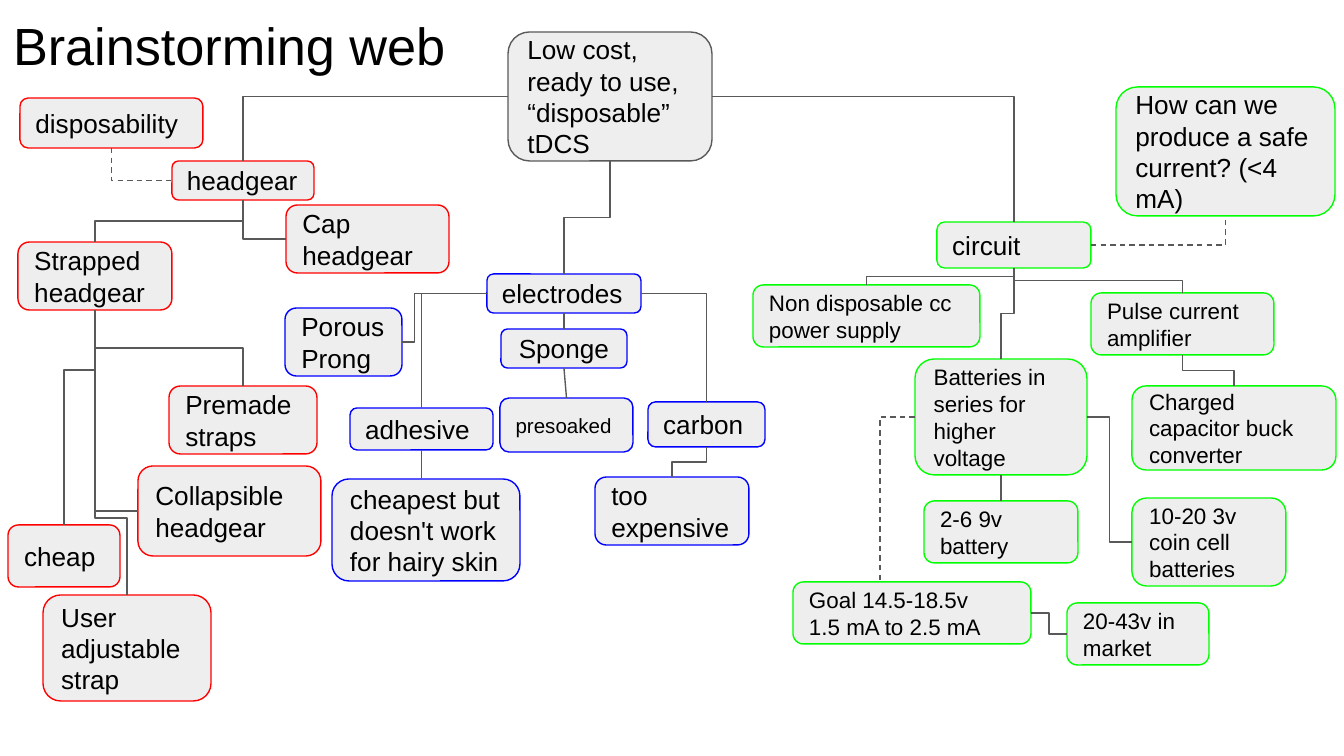
import pptx
import pptx.util
import pptx.dml.color
import pptx.enum.dml
import pptx.enum.shapes
import pptx.enum.text
import pptx.oxml
import pptx.oxml.ns

RGBColor = pptx.dml.color.RGBColor
CONNECTOR = pptx.enum.shapes.MSO_CONNECTOR
ALIGN = pptx.enum.text.PP_ALIGN

PX = 914400 / 134.4
FONT = "Arial"
INSET = 13
BLACK = RGBColor(0x00, 0x00, 0x00)
GREY = RGBColor(0x59, 0x59, 0x59)
PALE = RGBColor(0xEE, 0xEE, 0xEE)
RED = RGBColor(0xFF, 0x00, 0x00)
BLUE = RGBColor(0x00, 0x00, 0xFF)
GREEN = RGBColor(0x00, 0xFF, 0x00)


def px(length):
    return pptx.util.Emu(round(length * PX))


def write(shape, text, size, align=ALIGN.LEFT):
    frame = shape.text_frame
    frame.word_wrap = True
    frame.margin_left = frame.margin_right = px(INSET)
    frame.margin_top = frame.margin_bottom = px(INSET)
    frame.text = text
    for paragraph in frame.paragraphs:
        paragraph.alignment = align
        for run in paragraph.runs:
            run.font.name = FONT
            run.font.size = pptx.util.Pt(size)
            run.font.color.rgb = BLACK


def add_idea(slide, box, text, colour, size=14, align=ALIGN.LEFT):
    rounded = pptx.enum.shapes.MSO_SHAPE.ROUNDED_RECTANGLE
    shape = slide.shapes.add_shape(rounded, *map(px, box))
    shape.shadow.inherit = False
    shape.fill.solid()
    shape.fill.fore_color.rgb = PALE
    shape.line.color.rgb = colour
    shape.line.width = pptx.util.Pt(0.75)
    shape.text_frame.vertical_anchor = pptx.enum.text.MSO_ANCHOR.MIDDLE
    write(shape, text, size, align)
    return shape


def anchor(shape, side):
    """Middle of one side of a shape, in EMU."""
    across = {"left": 0, "right": 1}.get(side, 0.5)
    down = {"top": 0, "bottom": 1}.get(side, 0.5)
    return shape.left + shape.width * across, shape.top + shape.height * down


def link(slide, start, start_side, end, end_side,
         bend=0.5, shift=0, straight=False, dashed=False):
    """Connect two sides; the start side decides the first direction."""
    x1, y1 = anchor(start, start_side)
    x2, y2 = anchor(end, end_side)
    x2 += px(shift)
    upright = start_side in ("top", "bottom")
    corner = upright != (end_side in ("top", "bottom"))
    turned = upright and not straight
    if turned:  # lay the path flat around its centre, then turn it by 90 degrees
        middle_x, middle_y = (x1 + x2) / 2, (y1 + y2) / 2
        half_x, half_y = (x2 - x1) / 2, (y2 - y1) / 2
        x1, x2 = middle_x - half_y, middle_x + half_y
        y1, y2 = middle_y + half_x, middle_y - half_x
    kind = CONNECTOR.STRAIGHT if straight else CONNECTOR.ELBOW
    connector = slide.shapes.add_connector(kind, *map(round, (x1, y1, x2, y2)))
    connector.line.color.rgb = GREY
    connector.line.width = pptx.util.Pt(0.75)
    if dashed:
        connector.line.dash_style = pptx.enum.dml.MSO_LINE.DASH
    properties = connector._element.spPr
    namespace = pptx.oxml.ns.nsdecls("a")
    properties.append(pptx.oxml.parse_xml(f"<a:effectLst {namespace}/>"))
    if turned:
        properties.find(pptx.oxml.ns.qn("a:xfrm")).set("rot", "5400000")
    geometry = properties.find(pptx.oxml.ns.qn("a:prstGeom"))
    if corner:
        geometry.set("prst", "bentConnector2")
    elif bend != 0.5:
        guides = geometry.find(pptx.oxml.ns.qn("a:avLst"))
        guides.append(pptx.oxml.parse_xml(
            f'<a:gd {namespace} name="adj1" fmla="val {round(bend * 100000)}"/>'))


def add_ideas(slide, box, colour, ideas):
    """Place ideas inside a region: name -> (left, top, width, height), text, format."""
    left, top = box[:2]
    return {name: add_idea(slide, (left + x, top + y, width, height), text, colour, *style)
            for name, ((x, y, width, height), text, *style) in ideas.items()}


def draw_title(slide, box):
    write(slide.shapes.add_textbox(*map(px, box)), "Brainstorming web", 28)


def draw_headgear(slide, box, root):
    ideas = add_ideas(slide, box, RED, {
        "disposability": ((12, 0, 183, 50), "disposability"),
        "headgear": ((164, 63, 142, 39), "headgear"),
        "cap": ((278, 107, 163, 68), "Cap headgear"),
        "strapped": ((10, 144, 154, 68), "Strapped headgear"),
        "premade": ((161, 288, 148, 68), "Premade straps"),
        "collapsible": ((130, 368, 183, 90), "Collapsible headgear"),
        "cheap": ((0, 427, 112, 62), "cheap"),
        "adjustable": ((35, 497, 168, 106), "User adjustable strap"),
    })
    headgear, strapped = ideas["headgear"], ideas["strapped"]
    link(slide, root, "left", headgear, "top")
    link(slide, ideas["disposability"], "bottom", headgear, "left", dashed=True)
    link(slide, headgear, "bottom", ideas["cap"], "left")
    link(slide, headgear, "bottom", strapped, "top")
    link(slide, strapped, "bottom", ideas["premade"], "top")
    link(slide, strapped, "bottom", ideas["cheap"], "top", bend=0.28)
    link(slide, strapped, "bottom", ideas["adjustable"], "top", bend=0.73)
    link(slide, ideas["collapsible"], "left", strapped, "bottom")


def draw_electrodes(slide, box, root):
    ideas = add_ideas(slide, box, BLUE, {
        "electrodes": ((202, 0, 154, 39), "electrodes"),
        "porous": ((0, 34, 117, 68), "Porous Prong"),
        "sponge": ((216, 55, 126, 39), "Sponge", 14, ALIGN.CENTER),
        "adhesive": ((65, 134, 143, 42), "adhesive"),
        "presoaked": ((215, 124, 133, 54), "presoaked", 11),
        "carbon": ((363, 128, 117, 45), "carbon"),
        "expensive": ((310, 203, 154, 68), "too expensive"),
        "cheapest": ((47, 205, 188, 102), "cheapest but doesn't work for hairy skin"),
    })
    electrodes, sponge = ideas["electrodes"], ideas["sponge"]
    link(slide, root, "bottom", electrodes, "top")
    link(slide, electrodes, "left", ideas["porous"], "right", bend=0.85)
    link(slide, electrodes, "left", ideas["adhesive"], "top")
    link(slide, electrodes, "right", ideas["carbon"], "top")
    link(slide, electrodes, "bottom", sponge, "top", straight=True)
    link(slide, sponge, "bottom", ideas["presoaked"], "top", straight=True)
    link(slide, ideas["adhesive"], "bottom", ideas["cheapest"], "top",
         shift=-4.5, straight=True)
    link(slide, ideas["carbon"], "bottom", ideas["expensive"], "top")


def draw_circuit(slide, box, root):
    ideas = add_ideas(slide, box, GREEN, {
        "safety": ((363, 0, 219, 129), "How can we produce a safe current? (<4 mA)"),
        "circuit": ((184, 135, 154, 46), "circuit"),
        "supply": ((0, 198, 227, 62), "Non disposable cc power supply", 12),
        "amplifier": ((338, 206, 183, 62), "Pulse current amplifier", 12),
        "converter": ((379, 299, 204, 84), "Charged capacitor buck converter", 12),
        "batteries": ((162, 272, 172, 116), "Batteries in series for higher voltage", 12),
        "nine_volt": ((171, 414, 154, 62), "2-6 9v battery", 12),
        "coin_cell": ((379, 411, 154, 88), "10-20 3v coin cell batteries", 12),
        "goal": ((40, 495, 238, 62), "Goal 14.5-18.5v\n1.5 mA to 2.5 mA", 12),
        "market": ((314, 516, 142, 62), "20-43v in market", 12),
    })
    circuit, batteries = ideas["circuit"], ideas["batteries"]
    link(slide, root, "right", circuit, "top")
    link(slide, circuit, "right", ideas["safety"], "bottom", dashed=True)
    for name in ("supply", "amplifier", "batteries"):
        link(slide, circuit, "bottom", ideas[name], "top")
    link(slide, ideas["amplifier"], "bottom", ideas["converter"], "top")
    link(slide, batteries, "bottom", ideas["nine_volt"], "top", straight=True)
    link(slide, batteries, "right", ideas["coin_cell"], "left")
    link(slide, batteries, "left", ideas["goal"], "top", shift=-32, dashed=True)
    link(slide, ideas["goal"], "right", ideas["market"], "left")


def main():
    presentation = pptx.Presentation()
    presentation.slide_width, presentation.slide_height = px(1344), px(756)
    slide = presentation.slides.add_slide(presentation.slide_layouts[6])

    # Title and central idea
    draw_title(slide, (0, 0, 1252, 85))
    root = add_idea(slide, (508, 32, 204, 129),
                    "Low cost, ready to use, “disposable” tDCS", GREY)

    # Branches
    draw_headgear(slide, (8, 98, 442, 603), root)
    draw_electrodes(slide, (285, 274, 480, 307), root)
    draw_circuit(slide, (753, 87, 583, 578), root)
    presentation.save("out.pptx")


if __name__ == "__main__":
    main()
